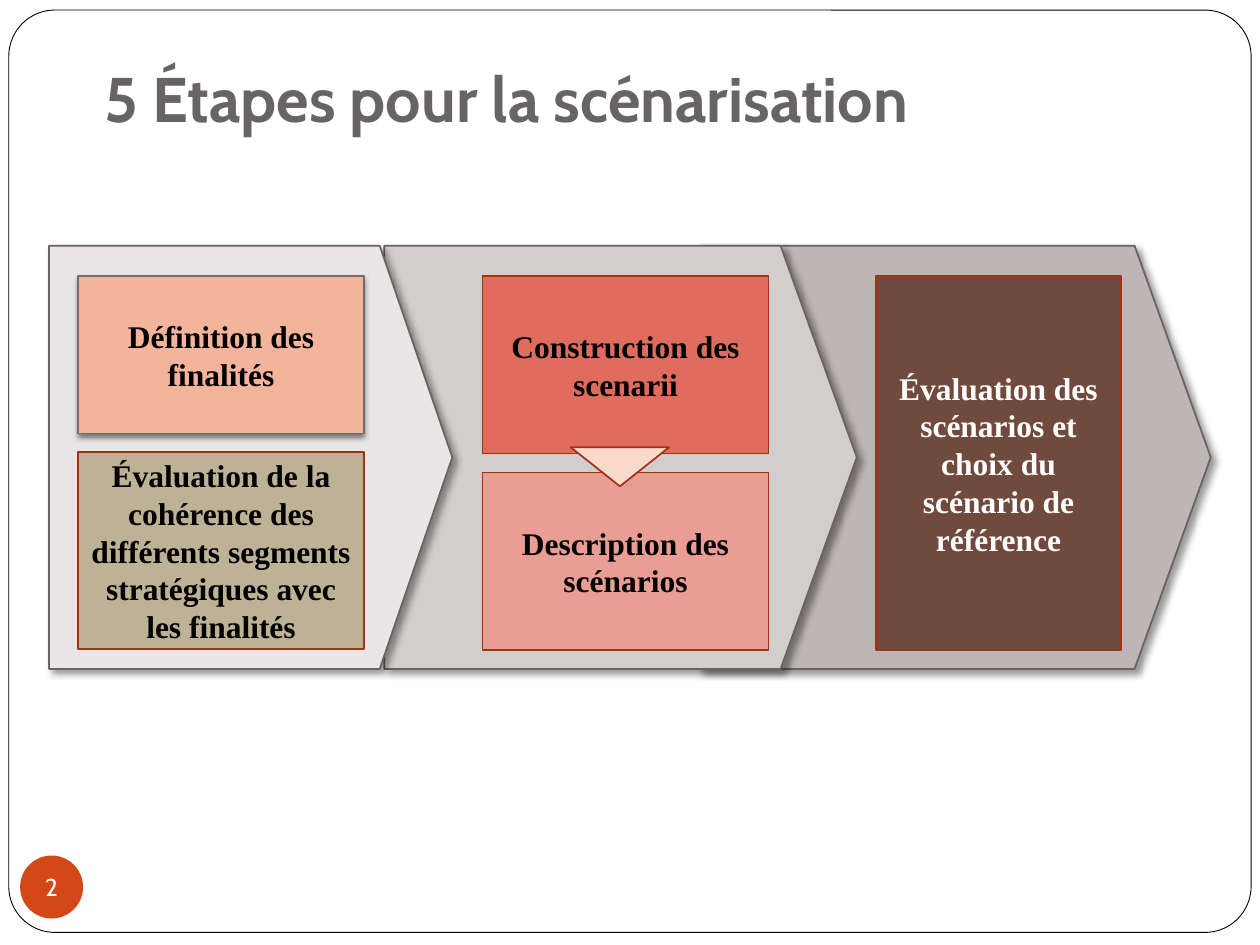
import pptx
import pptx.dml.color
import pptx.enum.shapes
import pptx.enum.text
import pptx.oxml
import pptx.oxml.ns
import pptx.util

Inches = pptx.util.Inches
Pt = pptx.util.Pt
RGBColor = pptx.dml.color.RGBColor
Preset = pptx.enum.shapes.MSO_SHAPE
Align = pptx.enum.text.PP_ALIGN
Anchor = pptx.enum.text.MSO_ANCHOR

BLACK = RGBColor(0x00, 0x00, 0x00)
WHITE = RGBColor(0xFF, 0xFF, 0xFF)
TITLE_GREY = RGBColor(0x69, 0x64, 0x64)
ARROW_LINE = RGBColor(0x6B, 0x62, 0x62)
GOAL_LINE = RGBColor(0x75, 0x69, 0x6A)
RUST = RGBColor(0x9C, 0x35, 0x11)
ORANGE = RGBColor(0xD3, 0x48, 0x17)
PALE_GREY = RGBColor(0xE9, 0xE6, 0xE7)
LIGHT_GREY = RGBColor(0xD3, 0xCE, 0xCE)
MID_GREY = RGBColor(0xBD, 0xB5, 0xB6)
PEACH = RGBColor(0xF4, 0xB3, 0x9B)
KHAKI = RGBColor(0xBD, 0xB1, 0x96)
RED = RGBColor(0xDF, 0x6C, 0x5D)
PINK = RGBColor(0xE9, 0x9D, 0x93)
BROWN = RGBColor(0x70, 0x4A, 0x3D)
CREAM = RGBColor(0xFA, 0xD9, 0xCD)

HEADING_FONT = "Cabin"
BODY_FONT = "Times New Roman"
ARROW_TOP, ARROW_HEIGHT = 1.95, 3.36
BOX_TOP, BOX_WIDTH = 2.19, 2.27


class StepSlide:
    """Holds the current slide and draws its elements in one style."""

    def __init__(self, presentation):
        self.slide = presentation.slides.add_slide(presentation.slide_layouts[5])

    def apply(self, target, values):
        for name, value in values.items():
            setattr(target, name, value)

    def add_text(self, shape, text, font, color, align=Align.CENTER, **frame_values):
        frame = shape.text_frame
        self.apply(frame, {"word_wrap": True, "vertical_anchor": Anchor.MIDDLE, **frame_values})
        paragraph = frame.paragraphs[0]
        paragraph.alignment = align
        run = paragraph.add_run()
        run.text = text
        self.apply(run.font, font)
        run.font.color.rgb = color

    def shape(self, preset, box, fill, line=None, line_width=1, adjustment=None):
        shape = self.slide.shapes.add_shape(preset, *map(Inches, box))
        shape.shadow.inherit = False
        shape.fill.solid()
        shape.fill.fore_color.rgb = fill
        if line is None:
            shape.line.fill.background()
        else:
            shape.line.color.rgb = line
            shape.line.width = Pt(line_width)
        if adjustment is not None:
            shape.adjustments[0] = adjustment
        return shape

    def shadow(self, shape, opacity, blur, distance, angle):
        effects = shape._element.spPr.find(pptx.oxml.ns.qn("a:effectLst"))
        effects.append(pptx.oxml.parse_xml(
            f'<a:outerShdw {pptx.oxml.ns.nsdecls("a")} blurRad="{Pt(blur)}" dist="{Pt(distance)}" '
            f'dir="{angle * 60000}" algn="tl" rotWithShape="0"><a:srgbClr val="000000">'
            f'<a:alpha val="{opacity * 1000}"/></a:srgbClr></a:outerShdw>'))

    def title(self, text, box):
        title = self.slide.shapes.title
        self.apply(title, dict(zip(("left", "top", "width", "height"), map(Inches, box))))
        self.add_text(title, text, {"name": HEADING_FONT, "size": Pt(36), "bold": True},
                      TITLE_GREY, Align.LEFT, vertical_anchor=Anchor.BOTTOM,
                      margin_bottom=Inches(0.1), auto_size=pptx.enum.text.MSO_AUTO_SIZE.NONE)
        self.slide.shapes._spTree.append(title._element)

    def frame(self, box):
        self.shape(Preset.ROUNDED_RECTANGLE, box, WHITE, BLACK, 0.5, 0.05)

    def arrow(self, left, width, fill):
        arrow = self.shape(Preset.PENTAGON, (left, ARROW_TOP, width, ARROW_HEIGHT),
                           fill, ARROW_LINE, adjustment=0.18)
        self.shadow(arrow, 40, 4, 3, 45)

    def step(self, text, box, fill, color=BLACK, line=RUST, line_width=1):
        step = self.shape(Preset.RECTANGLE, box, fill, line, line_width)
        self.add_text(step, text, {"name": BODY_FONT, "size": Pt(18), "bold": True}, color)
        return step

    def pointer(self, box):
        self.shape(Preset.ISOSCELES_TRIANGLE, box, CREAM, RUST).rotation = 180

    def page_number(self, text, box):
        badge = self.shape(Preset.OVAL, box, ORANGE)
        margins = {f"margin_{side}": 0 for side in ("left", "top", "right", "bottom")}
        self.add_text(badge, text, {"name": HEADING_FONT, "size": Pt(14)}, WHITE,
                      word_wrap=False, **margins)


def main():
    presentation = pptx.Presentation()
    presentation.slide_width = Inches(10)
    presentation.slide_height = Inches(7.5)
    page = StepSlide(presentation)

    page.frame((0.07, 0.08, 9.86, 7.32))
    for left, width, fill in ((5.55, 4.06, MID_GREY), (3.05, 3.75, LIGHT_GREY),
                              (0.39, 3.2, PALE_GREY)):
        page.arrow(left, width, fill)
    page.title("5 Étapes pour la scénarisation", (0.73, 0.3, 8.5, 0.87))
    page.page_number("2", (0.16, 6.79, 0.5, 0.5))

    goals = page.step("Définition des finalités", (0.62, BOX_TOP, BOX_WIDTH, 1.25), PEACH,
                      line=GOAL_LINE, line_width=0.75)
    page.shadow(goals, 50, 3, 2, 90)
    page.step("Évaluation de la cohérence des différents segments stratégiques avec les finalités",
              (0.62, 3.59, BOX_WIDTH, 1.56), KHAKI)
    page.step("Construction des scenarii", (3.83, BOX_TOP, BOX_WIDTH, 1.41), RED)
    page.step("Description des scénarios", (3.83, 3.75, BOX_WIDTH, 1.41), PINK)
    page.step("Évaluation des scénarios et choix du scénario de référence",
              (6.95, BOX_TOP, 1.95, 2.97), BROWN, WHITE)
    page.pointer((4.53, 3.55, 0.78, 0.31))

    presentation.save("out.pptx")


if __name__ == "__main__":
    main()
